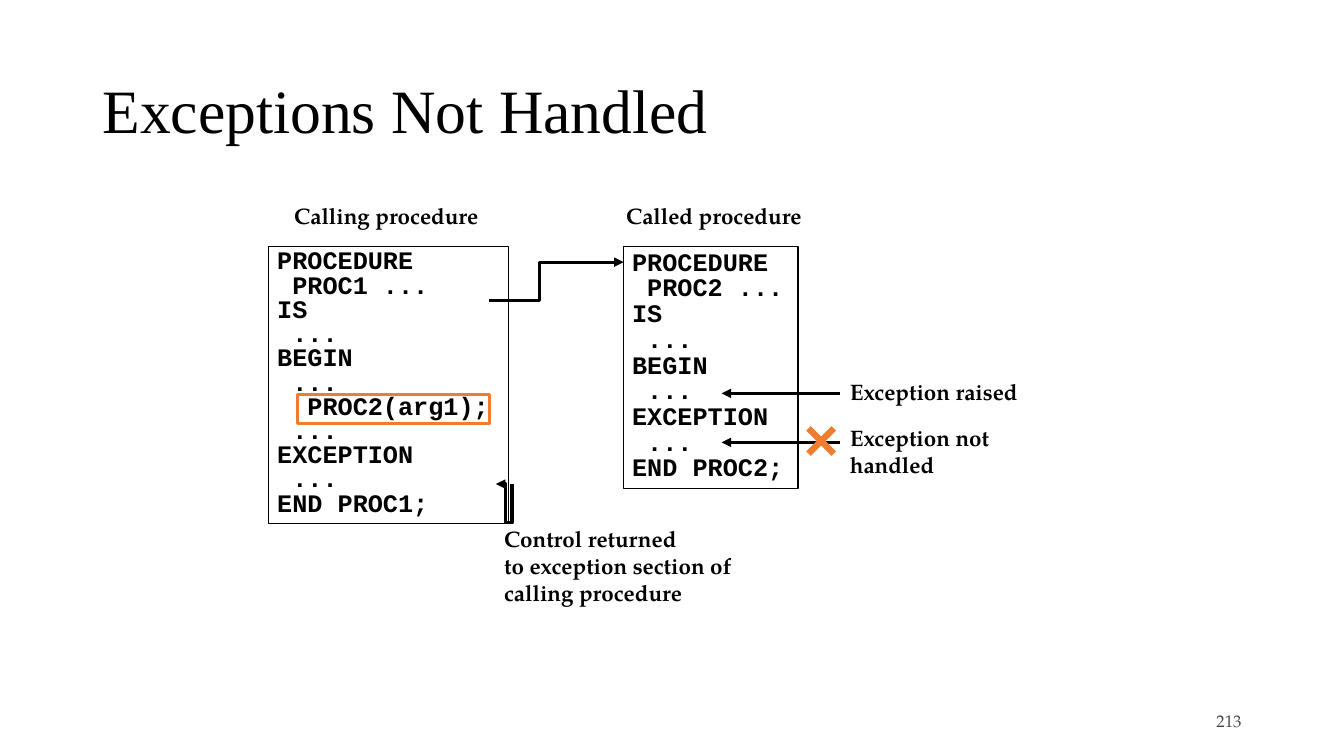
from copy import deepcopy
from dataclasses import dataclass

from lxml import etree
from pptx import Presentation
from pptx.dml.color import RGBColor
from pptx.enum.shapes import MSO_CONNECTOR, MSO_SHAPE
from pptx.enum.text import MSO_ANCHOR, PP_ALIGN
from pptx.oxml.ns import qn
from pptx.util import Pt

STRAIGHT = MSO_CONNECTOR.STRAIGHT
RECTANGLE = MSO_SHAPE.RECTANGLE
TOP, MIDDLE = MSO_ANCHOR.TOP, MSO_ANCHOR.MIDDLE
LEFT, CENTER, RIGHT = PP_ALIGN.LEFT, PP_ALIGN.CENTER, PP_ALIGN.RIGHT
TITLE_ONLY = 5


@dataclass(frozen=True)
class Theme:
    ink: RGBColor = RGBColor(0x00, 0x00, 0x00)
    paper: RGBColor = RGBColor(0xFF, 0xFF, 0xFF)
    accent: RGBColor = RGBColor(0xED, 0x7D, 0x31)
    muted: RGBColor = RGBColor(0x46, 0x46, 0x53)
    title_font: str = "Times New Roman"
    label_font: str = "TeX Gyre Pagella"
    code_font: str = "Courier New"
    title_size: float = 44
    code_size: float = 18
    label_size: float = 16
    number_size: float = 12
    thin: float = 1
    medium: float = 2.25
    thick: float = 4.5


THEME = Theme()

CALLING_CODE = """PROCEDURE
 PROC1 ...
IS
 ...
BEGIN
 ...
  PROC2(arg1);
 ...
EXCEPTION
 ...
END PROC1;"""

CALLED_CODE = """PROCEDURE
 PROC2 ...
IS
 ...
BEGIN
 ...
EXCEPTION
 ...
END PROC2;"""


def points(*lengths):
    return [Pt(length) for length in lengths]


def write(box, text, font=THEME.label_font, size=THEME.label_size, color=THEME.ink,
          bold=True, align=LEFT, anchor=TOP, spacing=1.0, insets=(7.2, 3.6)):
    frame = box.text_frame
    frame.word_wrap = True
    frame.vertical_anchor = anchor
    frame.margin_left = frame.margin_right = Pt(insets[0])
    frame.margin_top = frame.margin_bottom = Pt(insets[1])
    frame.text = text
    for para in frame.paragraphs:
        para.alignment = align
        para.line_spacing = spacing
        para.space_before = para.space_after = Pt(0)
        for span in para.runs:
            span.font.name = font
            span.font.size = Pt(size)
            span.font.bold = bold
            span.font.color.rgb = color
        for line_break in para._p.findall(qn("a:br")):
            line_break.append(deepcopy(para.runs[0]._r.rPr))


def add_label(page, text, area, **text_format):
    write(page.shapes.add_textbox(*points(*area)), text, **text_format)


def add_frame(page, area, color, width, filled):
    box = page.shapes.add_shape(RECTANGLE, *points(*area))
    box.shadow.inherit = False
    if filled:
        box.fill.solid()
        box.fill.fore_color.rgb = THEME.paper
    else:
        box.fill.background()
    box.line.color.rgb = color
    box.line.width = Pt(width)
    return box


def add_code(page, code, area, spacing):
    box = add_frame(page, area, THEME.ink, THEME.thin, filled=True)
    write(box, code, font=THEME.code_font, size=THEME.code_size,
          spacing=spacing, insets=(6, 3))


def style_line(shape, color, width, arrow):
    shape.line.color.rgb = color
    shape.line.width = Pt(width)
    if arrow:
        etree.SubElement(shape.line._get_or_add_ln(), qn("a:tailEnd"), type="triangle")


def add_line(page, start, end, color=THEME.ink, width=THEME.medium, arrow=False):
    line = page.shapes.add_connector(STRAIGHT, *points(*start, *end))
    style_line(line, color, width, arrow)
    etree.SubElement(line._element.spPr, qn("a:effectLst"))


def add_bent_arrow(page, corners):
    start, *others = [points(*corner) for corner in corners]
    builder = page.shapes.build_freeform(*start)
    builder.add_line_segments(others, close=False)
    arrow = builder.convert_to_shape()
    arrow.shadow.inherit = False
    arrow.fill.background()
    style_line(arrow, THEME.ink, THEME.medium, arrow=True)


def add_cross(page, left, top, size):
    right, bottom = left + size, top + size
    for start, end in (((left, top), (right, bottom)), ((right, top), (left, bottom))):
        add_line(page, start, end, THEME.accent, THEME.thick)


def add_title(page, text):
    title = page.shapes.title
    title.left, title.top, title.width, title.height = points(66, 28.75, 828, 104.5)
    write(title, text, font=THEME.title_font, size=THEME.title_size, bold=False,
          anchor=MIDDLE, spacing=0.9)


def main():
    deck = Presentation()
    deck.slide_width, deck.slide_height = points(960, 540)
    page = deck.slides.add_slide(deck.slide_layouts[TITLE_ONLY])
    add_title(page, "Exceptions Not Handled")

    add_code(page, CALLING_CODE, (192, 176, 171.5, 198), spacing=0.8)
    add_label(page, "Calling procedure", (186, 142, 180, 25), align=CENTER, spacing=0.95)
    add_label(page, "Control returned\vto exception section of calling procedure",
              (353, 371.5, 193, 65))
    add_bent_arrow(page, [(349, 214.5), (385.25, 214.5), (385.25, 187.25), (445.5, 187.25)])
    add_frame(page, (212.5, 281.5, 137, 21), THEME.accent, THEME.medium, filled=False)
    add_bent_arrow(page, [(365.75, 345.75), (365.75, 373.5), (361.25, 373.5),
                          (361.25, 345.75), (354.25, 345.75)])

    add_label(page, "Called procedure", (426, 142, 168, 25), align=CENTER, spacing=0.95)
    add_code(page, CALLED_CODE, (445.5, 176, 124.5, 173), spacing=0.85)
    for height in (281, 316):
        add_line(page, (600, height), (515.5, height), arrow=True)
    add_label(page, "Exception raised", (600, 266.5, 162, 26.5))
    add_label(page, "Exception not handled", (600, 299.5, 174, 46))
    add_cross(page, 577.5, 306, 18)

    add_label(page, "213", (678, 500.5, 216, 29), size=THEME.number_size,
              color=THEME.muted, bold=False, align=RIGHT, anchor=MIDDLE)
    deck.save("out.pptx")


if __name__ == "__main__":
    main()
